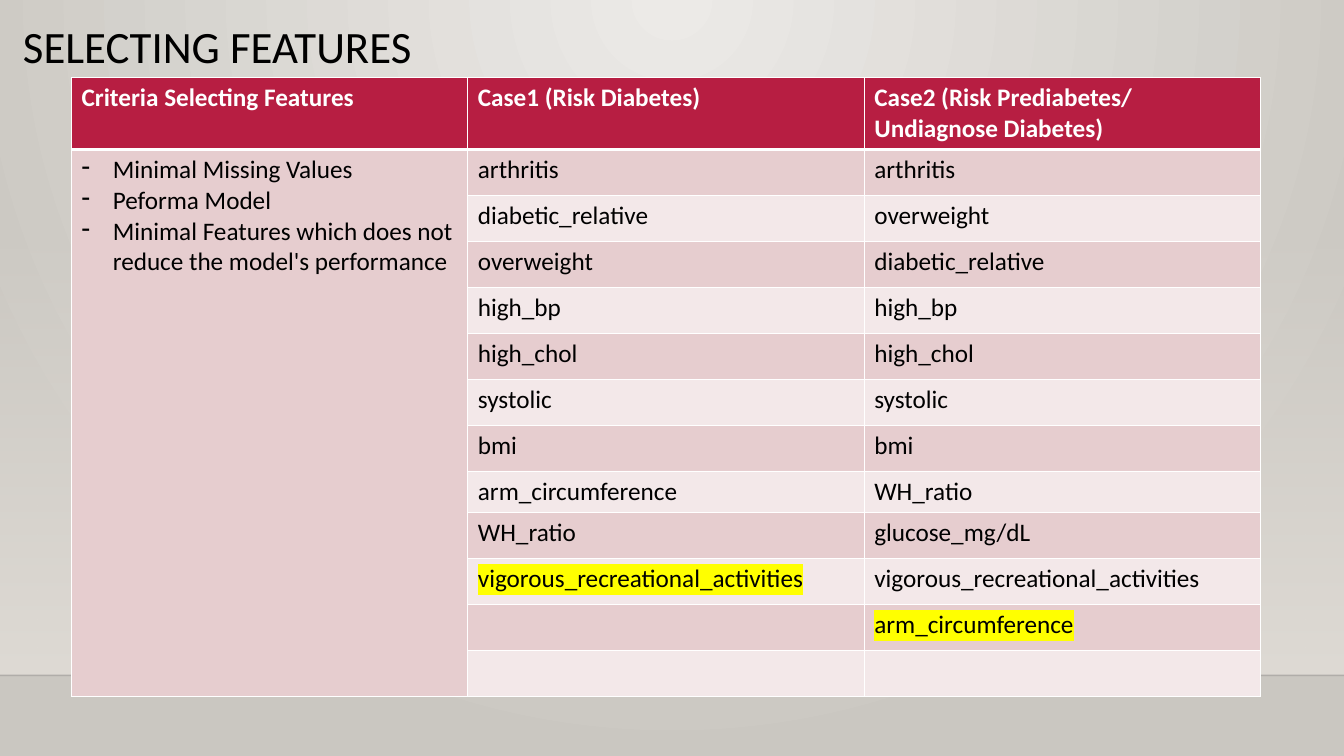
import itertools

import lxml.etree
import pptx
import pptx.dml.color
import pptx.enum.dml
import pptx.enum.shapes
import pptx.oxml
import pptx.oxml.ns
import pptx.util
from pptx.util import Cm, Pt

COLORS = {
    "text": "000000", "white": "FFFFFF", "crimson": "B71E42",
    "band_dark": "E6CDCF", "band_light": "F3E8E9", "marker": "FFFF00",
    "glow": "ECEAE7", "floor": "CAC7C1", "wall": "DFDBD5", "horizon": "000001",
}
PAGE_WIDTH, PAGE_HEIGHT = 33.87, 19.05
HORIZON = 17.02
HEADERS = [
    "Criteria Selecting Features",
    "Case1 (Risk Diabetes)",
    "Case2 (Risk Prediabetes/ Undiagnose Diabetes)",
]
CRITERIA = [
    "Minimal Missing Values",
    "Peforma Model",
    "Minimal Features which does not reduce the model's performance",
]
CASE1 = ["arthritis", "diabetic_relative", "overweight", "high_bp", "high_chol",
         "systolic", "bmi", "arm_circumference", "WH_ratio",
         "vigorous_recreational_activities", "", ""]
CASE2 = ["arthritis", "overweight", "diabetic_relative", "high_bp", "high_chol",
         "systolic", "bmi", "WH_ratio", "glucose_mg/dL",
         "vigorous_recreational_activities", "arm_circumference", ""]
MARKED = {(10, 1), (11, 2)}
HEADER_HEIGHT, ROW_HEIGHT, SHORT_HEIGHT = 1.81, 1.16, 1.03
SHORT_ROW = 8


def rgb(name):
    return pptx.dml.color.RGBColor.from_string(COLORS[name])


def element(xml):
    """Parse a DrawingML fragment whose root tag carries the a: prefix."""
    tag, rest = xml[:xml.index(">")], xml[xml.index(">"):]
    if tag.endswith("/"):
        tag, rest = tag[:-1], "/" + rest
    return pptx.oxml.parse_xml(tag + " " + pptx.oxml.ns.nsdecls("a") + rest)


def set_alpha(fill_element, percent):
    color = fill_element.find(".//" + pptx.oxml.ns.qn("a:srgbClr"))
    color.append(element(f'<a:alpha val="{percent * 1000}"/>'))


class SlideBuilder:
    def __init__(self, deck, font="Calibri"):
        self.font = font
        self.page = deck.slides.add_slide(deck.slide_layouts[6])

    def gradient(self, fill, *names):
        fill.gradient()
        for stop, name, position in zip(fill.gradient_stops, names, (0, 1)):
            stop.color.rgb = rgb(name)
            stop.position = position

    def background(self):
        """Radial glow centred on the top edge."""
        self.gradient(self.page.background.fill, "glow", "floor")
        linear = next(self.page.background._cSld.iter(pptx.oxml.ns.qn("a:lin")))
        linear.getparent().replace(linear, element(
            '<a:path path="circle">'
            '<a:fillToRect l="43000" t="0" r="43000" b="100000"/></a:path>'))

    def wall(self, top, bottom):
        """Panel that fades in from clear at the top."""
        panel = self.page.shapes.add_shape(
            pptx.enum.shapes.MSO_SHAPE.RECTANGLE,
            0, Cm(top), Cm(PAGE_WIDTH), Cm(bottom - top))
        panel.shadow.inherit = False
        panel.line.fill.background()
        self.gradient(panel.fill, "wall", "wall")
        panel.fill.gradient_angle = 270
        set_alpha(panel._element.spPr.find(".//" + pptx.oxml.ns.qn("a:gs")), 0)

    def horizontal_line(self, y, color, width, alpha):
        line = self.page.shapes.add_connector(
            pptx.enum.shapes.MSO_CONNECTOR.STRAIGHT,
            0, Cm(y), Cm(PAGE_WIDTH), Cm(y))
        line.line.color.rgb = rgb(color)
        line.line.width = Pt(width)
        properties = line._element.spPr
        set_alpha(properties.find(pptx.oxml.ns.qn("a:ln")), alpha)
        properties.append(element("<a:effectLst/>"))

    def style(self, para, size, color="text", bold=False, marked=False):
        for span in para.runs:
            span.font.size = Pt(size)
            span.font.bold = bold
            span.font.name = self.font
            span.font.color.rgb = rgb(color)
            if marked:
                solid = span.font._element.find(pptx.oxml.ns.qn("a:solidFill"))
                solid.addnext(element(
                    f'<a:highlight><a:srgbClr val="{COLORS["marker"]}"/></a:highlight>'))

    def title(self, text, left, top, width, height):
        box = self.page.shapes.add_textbox(Cm(left), Cm(top), Cm(width), Cm(height))
        box.text_frame.word_wrap = True
        box.text_frame.text = text
        para = box.text_frame.paragraphs[0]
        para.line_spacing = 0.9
        self.style(para, 32)

    def dash(self, para):
        properties = para._p.get_or_add_pPr()
        properties.set("marL", str(Cm(0.79)))
        properties.set("indent", str(-Cm(0.79)))
        properties.append(element('<a:buFontTx/>'))
        properties.append(element('<a:buChar char="-"/>'))

    def borders(self, cell, top=1, bottom=1):
        properties = cell._tc.get_or_add_tcPr()
        widths = {"lnL": 1, "lnR": 1, "lnT": top, "lnB": bottom}
        for index, (side, width) in enumerate(widths.items()):
            properties.insert(index, element(
                f'<a:{side} w="{Pt(width)}"><a:solidFill>'
                f'<a:srgbClr val="{COLORS["white"]}"/></a:solidFill></a:{side}>'))

    def feature_table(self, left, top, column_width):
        rows = [HEADERS] + [["", *pair] for pair in zip(CASE1, CASE2)]
        rows[1][0] = "\n".join(CRITERIA)
        heights = [HEADER_HEIGHT] + [ROW_HEIGHT] * len(CASE1)
        heights[SHORT_ROW] = SHORT_HEIGHT
        table = self.page.shapes.add_table(
            len(rows), len(HEADERS), Cm(left), Cm(top),
            Cm(column_width * len(HEADERS)), Cm(sum(heights))).table
        table.horz_banding = False
        for column in table.columns:
            column.width = Cm(column_width)
        for row, height in zip(table.rows, heights):
            row.height = Cm(height)
        for r, c in itertools.product(range(len(rows)), range(len(HEADERS))):
            cell = table.cell(r, c)
            cell.text_frame.text = rows[r][c]
            cell.fill.solid()
            if r == 0:
                cell.fill.fore_color.rgb = rgb("crimson")
            else:
                dark = c == 0 or r % 2 == 1
                cell.fill.fore_color.rgb = rgb("band_dark" if dark else "band_light")
            self.borders(cell, top=3 if r == 1 else 1, bottom=3 if r == 0 else 1)
            for para in cell.text_frame.paragraphs:
                self.style(para, 18, "white" if r == 0 else "text",
                           bold=r == 0, marked=(r, c) in MARKED)
                if (r, c) == (1, 0):
                    self.dash(para)
        table.cell(1, 0).merge(table.cell(len(rows) - 1, 0))


def main():
    deck = pptx.Presentation()
    deck.slide_width, deck.slide_height = Cm(PAGE_WIDTH), Cm(PAGE_HEIGHT)
    slide = SlideBuilder(deck)
    slide.background()
    slide.wall(5.61, HORIZON)
    slide.horizontal_line(HORIZON, "horizon", 1, alpha=20)
    slide.title("SELECTING FEATURES", 0.33, 0.51, 26.67, 2.92)
    slide.feature_table(1.8, 1.96, 9.99)
    deck.save("out.pptx")


if __name__ == "__main__":
    main()
